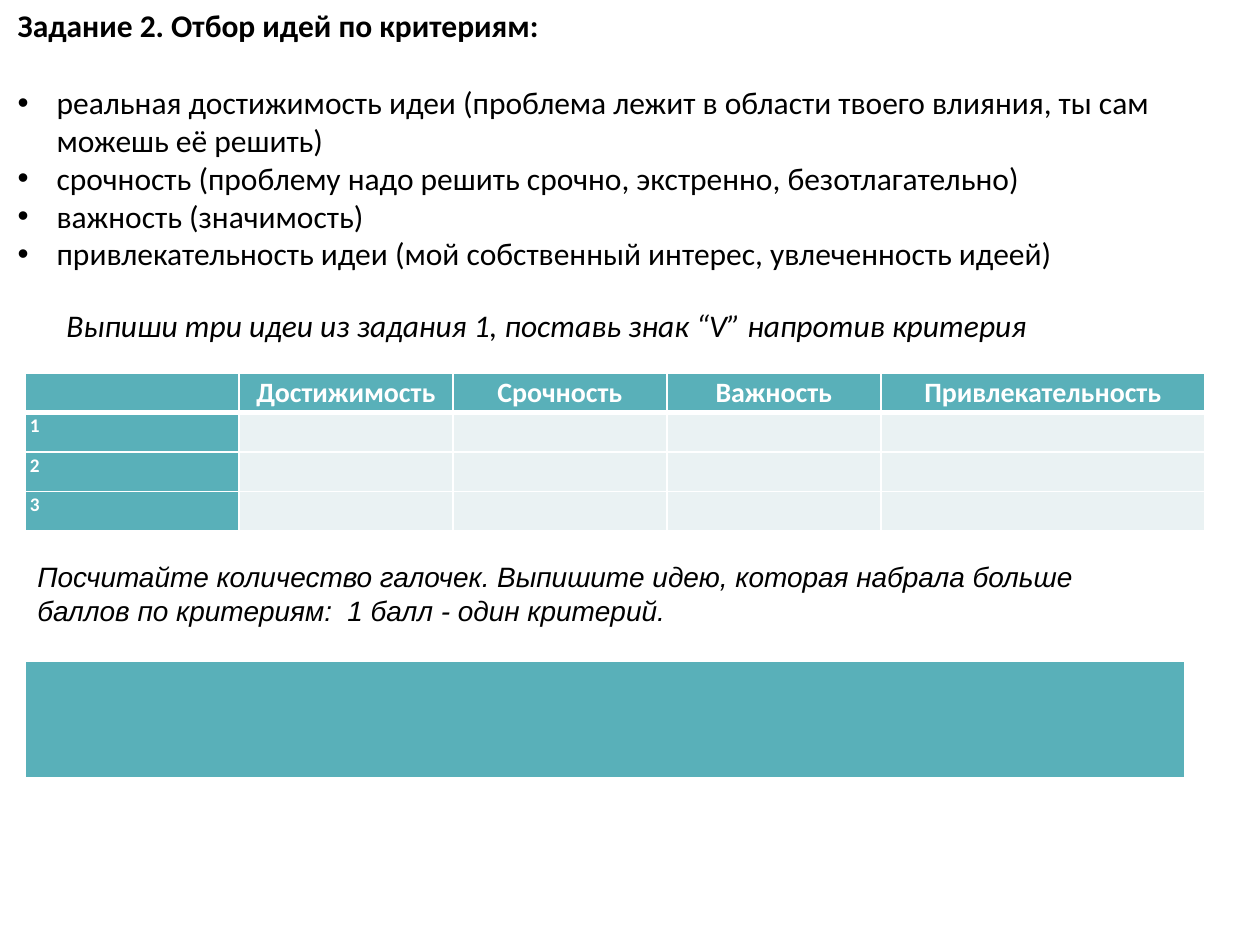
from lxml.etree import SubElement
from pptx import Presentation
from pptx.dml.color import RGBColor
from pptx.enum.text import MSO_ANCHOR as Anchor, MSO_AUTO_SIZE as AutoSize, PP_ALIGN as Align
from pptx.oxml.ns import qn
from pptx.util import Emu, Pt

TEAL, PALE, WHITE, BLACK = "59B0B9", "EAF2F3", "FFFFFF", "000000"
CRITERIA = [
    "реальная достижимость идеи (проблема лежит в области твоего влияния, ты сам можешь её решить)",
    "срочность (проблему надо решить срочно, экстренно, безотлагательно)",
    "важность (значимость)",
    "привлекательность идеи (мой собственный интерес, увлеченность идеей)",
]
SCORES = [
    ["", "Достижимость", "Срочность", "Важность", "Привлекательность"],
    ["1", "", "", "", ""],
    ["2", "", "", "", ""],
    ["3", "", "", "", ""],
]


def px(n):
    return Emu(round(n * 914400 / 126))


def color(value):
    return RGBColor.from_string(value)


def place(sp, x, y, w, h):
    sp.left, sp.top, sp.width, sp.height = px(x), px(y), px(w), px(h)


def add_run(p, text, size, fill=BLACK, font="Calibri", bold=False, italic=False):
    r = p.add_run()
    r.text = text
    r.font.name, r.font.size = font, Pt(size)
    r.font.bold, r.font.italic = bold, italic
    r.font.color.rgb = color(fill)


def setup_frame(sp, anchor=Anchor.TOP):
    tf = sp.text_frame
    tf.word_wrap = True
    tf.auto_size = AutoSize.NONE
    tf.vertical_anchor = anchor
    return tf


def add_task(s, x, y, w, h):
    title, body = s.shapes.title, s.placeholders[1]
    place(title, x, y, w, 50)
    p = setup_frame(title).paragraphs[0]
    p.alignment = Align.LEFT
    add_run(p, "Задание 2. Отбор идей по критериям:", 18, bold=True)

    place(body, x, y + 77, w, h - 77)
    tf = setup_frame(body)
    for i, text in enumerate(CRITERIA):
        p = tf.add_paragraph() if i else tf.paragraphs[0]
        p.space_before = Pt(0)
        pPr = p._p.get_or_add_pPr()
        pPr.set("marL", str(px(39)))
        pPr.set("indent", str(px(-39)))
        add_run(p, text, 18)


def add_note(s, x, y, w, h, text, size, font, anchor=Anchor.TOP):
    tf = setup_frame(s.shapes.add_textbox(px(x), px(y), px(w), px(h)), anchor)
    add_run(tf.paragraphs[0], text, size, font=font, italic=True)


def style_cell(cell, fill, top=1, bottom=1):
    tcPr = cell._tc.get_or_add_tcPr()
    for side, width in (("L", 1), ("R", 1), ("T", top), ("B", bottom)):
        ln = SubElement(tcPr, qn(f"a:ln{side}"), w=str(Pt(width)))
        SubElement(SubElement(ln, qn("a:solidFill")), qn("a:srgbClr"), val=WHITE)
    cell.fill.solid()
    cell.fill.fore_color.rgb = color(fill)
    cell.margin_left = cell.margin_right = px(5)
    cell.margin_top = cell.margin_bottom = 0


def add_scores(s, x, y, w, h):
    rows, cols = len(SCORES), len(SCORES[0])
    table = s.shapes.add_table(rows, cols, px(x), px(y), px(w), px(h)).table
    narrow = 214
    for i, col in enumerate(table.columns):
        col.width = px(narrow if i < cols - 1 else w - narrow * (cols - 1))
    for i, row in enumerate(table.rows):
        row.height = px(h / rows)
        for j, cell in enumerate(row.cells):
            style_cell(cell, PALE if i and j else TEAL,
                       top=3 if i == 1 else 1, bottom=1 if i else 3)
            p = cell.text_frame.paragraphs[0]
            p.font.size = Pt(11)
            p.line_spacing = 1.07
            p.alignment = Align.LEFT if i else Align.CENTER
            if SCORES[i][j]:
                add_run(p, SCORES[i][j], 11 if i else 16, WHITE, bold=True)


def add_answer(s, x, y, w, h):
    table = s.shapes.add_table(1, 1, px(x), px(y), px(w), px(h)).table
    style_cell(table.cell(0, 0), TEAL, bottom=3)


def main():
    prs = Presentation()
    prs.slide_width, prs.slide_height = px(1260), px(945)
    s = prs.slides.add_slide(prs.slide_layouts[1])
    add_task(s, 5, 0, 1191, 280)
    add_scores(s, 25, 373, 1180, 158)
    add_note(s, 54, 300, 992, 50,
             "Выпиши три идеи из задания 1, поставь знак “V” напротив критерия", 18, "Calibri")
    add_answer(s, 25, 661, 1160, 118)
    add_note(s, 25, 553, 1160, 81,
             "Посчитайте количество галочек. Выпишите идею, которая набрала больше "
             "баллов по критериям:  1 балл - один критерий.", 16, "Arial", Anchor.MIDDLE)
    prs.save("out.pptx")


if __name__ == "__main__":
    main()
